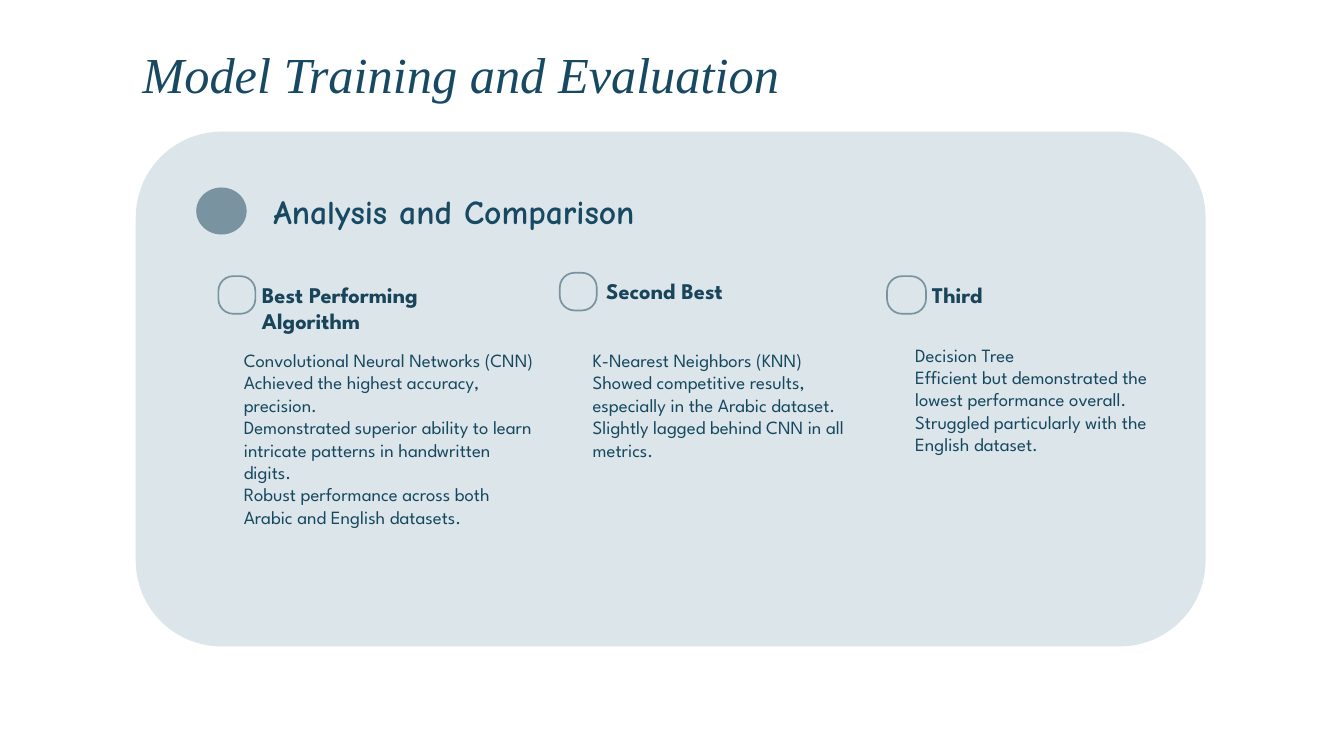
from pptx import Presentation
from pptx.dml.color import RGBColor
from pptx.enum.shapes import MSO_SHAPE as Preset
from pptx.util import Inches, Pt

PANEL = RGBColor(0xDC, 0xE5, 0xEA)
ACCENT = RGBColor(0x79, 0x93, 0xA0)
TITLE = RGBColor(0x18, 0x49, 0x63)
HEADING = RGBColor(0x19, 0x45, 0x5B)
BODY = RGBColor(0x15, 0x48, 0x5F)

# Heading, details, then left, top, width, height of marker, heading and details
COLUMNS = [
    ("Best Performing Algorithm",
     ["Convolutional Neural Networks (CNN)",
      "Achieved the highest accuracy, precision.",
      "Demonstrated superior ability to learn intricate patterns in handwritten digits.",
      "Robust performance across both Arabic and English datasets."],
     (3.25, 4.11, 0.55, 0.56), (3.8, 4.15, 3.95, 0.89), (3.53, 5.14, 4.63, 3.43)),
    ("Second Best",
     ["K-Nearest Neighbors (KNN)",
      "Showed competitive results, especially in the Arabic dataset.",
      "Slightly lagged behind CNN in all metrics."],
     (8.33, 4.06, 0.55, 0.56), (8.92, 4.09, 3.39, 0.49), (8.72, 5.14, 4.45, 2.12)),
    ("Third",
     ["Decision Tree",
      "Efficient but demonstrated the lowest performance overall.",
      "Struggled particularly with the English dataset."],
     (13.2, 4.11, 0.58, 0.56), (13.77, 4.15, 1.76, 0.49), (13.52, 5.06, 4.02, 2.42)),
]

presentation = Presentation()
presentation.slide_width = Inches(20)
presentation.slide_height = Inches(11.25)
slide = presentation.slides.add_slide(presentation.slide_layouts[6])


def add_shape(preset, box, fill=None, line=None):
    """Add a shadowless shape; a missing fill or line is left empty."""
    shape = slide.shapes.add_shape(preset, *map(Inches, box))
    shape.shadow.inherit = False
    if fill is None:
        shape.fill.background()
    else:
        shape.fill.solid()
        shape.fill.fore_color.rgb = fill
    if line is None:
        shape.line.fill.background()
    else:
        shape.line.color.rgb = line
        shape.line.width = Pt(1.8)
    return shape


def add_text(box, lines, font_name, size, color, bold=False, italic=False, spacing=None):
    """Add a wrapping text box with one paragraph per line."""
    frame = slide.shapes.add_textbox(*map(Inches, box)).text_frame
    frame.word_wrap = True
    for index, line in enumerate(lines):
        paragraph = frame.add_paragraph() if index else frame.paragraphs[0]
        paragraph.line_spacing = spacing
        run = paragraph.add_run()
        run.text = line
        font = run.font
        font.name = font_name
        font.size = Pt(size)
        font.bold = bold
        font.italic = italic
        font.color.rgb = color


add_shape(Preset.ROUNDED_RECTANGLE, (2.02, 1.96, 15.92, 7.66), fill=PANEL)
add_shape(Preset.OVAL, (2.92, 2.79, 0.75, 0.7), fill=ACCENT)
add_text((3.97, 2.79, 13.03, 0.71), ["Analysis and Comparison"],
         "Comic Neue", 36, TITLE, bold=True)
add_text((2.02, 0.59, 10.25, 1.01), ["Model Training and Evaluation"],
         "Times New Roman", 54, TITLE, italic=True)

for heading, details, marker_box, heading_box, details_box in COLUMNS:
    marker = add_shape(Preset.ROUNDED_RECTANGLE, marker_box, line=ACCENT)
    marker.adjustments[0] = 0.4
    add_text(heading_box, [heading], "League Spartan", 24, HEADING,
             bold=True, spacing=Pt(27.5))
    add_text(details_box, details, "League Spartan", 20, BODY)

presentation.save("out.pptx")
